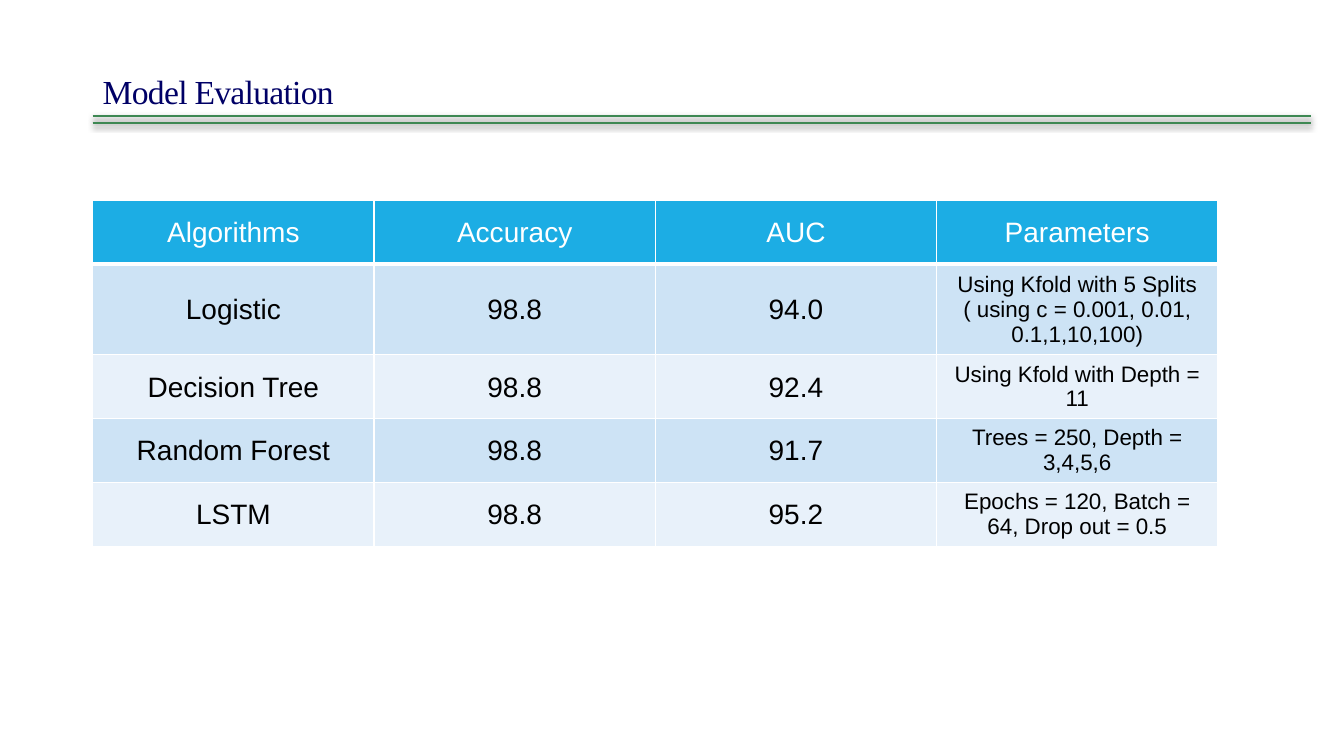
"""Build the Model Evaluation slide with a table of algorithm results."""
from dataclasses import dataclass

from lxml import etree
from pptx import Presentation
from pptx.dml.color import RGBColor
from pptx.enum.shapes import MSO_CONNECTOR
from pptx.enum.text import MSO_ANCHOR, PP_ALIGN
from pptx.oxml import parse_xml
from pptx.oxml.ns import nsdecls, qn
from pptx.util import Inches, Pt

STRAIGHT = MSO_CONNECTOR.STRAIGHT
MIDDLE, BOTTOM = MSO_ANCHOR.MIDDLE, MSO_ANCHOR.BOTTOM
CENTER = PP_ALIGN.CENTER

COLORS = {
    "title": "000066",
    "rule": "3E8853",
    "header": "1CADE4",
    "dark_band": "CDE3F5",
    "light_band": "E8F1FA",
    "white": "FFFFFF",
    "black": "000000",
}
LEFT = 0.92
RULE_RIGHT = 13
RULE_TOPS = (1.15, 1.22)
TABLE_TOP, COLUMN_WIDTH, ROW_HEIGHT = 1.99, 2.79, 0.63
THIN_BORDER, HEADER_BORDER = 1, 3
NARROW_MARGINS = {
    "margin_left": Inches(0.01),
    "margin_right": Inches(0.01),
    "margin_top": Inches(0.01),
    "margin_bottom": Inches(0),
}


@dataclass(frozen=True)
class Result:
    algorithm: str
    accuracy: str
    auc: str
    parameters: str

    def texts(self) -> tuple[str, ...]:
        return self.algorithm, self.accuracy, self.auc, self.parameters


HEADER = Result("Algorithms", "Accuracy", "AUC", "Parameters")
RESULTS = (
    Result("Logistic", "98.8", "94.0",
           "Using Kfold with 5 Splits ( using c = 0.001, 0.01, 0.1,1,10,100)"),
    Result("Decision Tree", "98.8", "92.4", "Using Kfold with Depth = 11"),
    Result("Random Forest", "98.8", "91.7", "Trees = 250, Depth = 3,4,5,6"),
    Result("LSTM", "98.8", "95.2", "Epochs = 120, Batch = 64, Drop out = 0.5"),
)


def color(name: str) -> RGBColor:
    return RGBColor.from_string(COLORS[name])


def apply_format(target, values: dict) -> None:
    for name, value in values.items():
        setattr(target, name, value)


def write_text(paragraph, text: str, font: str, size: int, color_name: str):
    run = paragraph.add_run()
    run.text = text
    apply_format(run.font, {"name": font, "size": Pt(size), "bold": False})
    run.font.color.rgb = color(color_name)
    return run


def add_title(slide) -> None:
    box = slide.shapes.add_textbox(Inches(LEFT), Inches(0.31), Inches(12.08), Inches(0.84))
    apply_format(box.text_frame, {"word_wrap": True, "vertical_anchor": BOTTOM})
    paragraph = box.text_frame.paragraphs[0]
    paragraph.line_spacing = 0.85
    run = write_text(paragraph, "Model Evaluation", "Times New Roman", 24, "title")
    run.font._element.set("spc", "-50")


def add_rule(slide, top: float) -> None:
    rule = slide.shapes.add_connector(
        STRAIGHT, Inches(LEFT), Inches(top), Inches(RULE_RIGHT), Inches(top))
    rule.line.color.rgb = color("rule")
    rule.line.width = Pt(1.75)
    rule._element.spPr.append(parse_xml(
        f'<a:effectLst {nsdecls("a")}>'
        f'<a:outerShdw blurRad="{Pt(4)}" dist="{Pt(2)}" dir="5400000" rotWithShape="0">'
        f'<a:srgbClr val="{COLORS["black"]}"><a:alpha val="28000"/></a:srgbClr>'
        '</a:outerShdw></a:effectLst>'))


def set_borders(cell, top: float, bottom: float) -> None:
    properties = cell._tc.get_or_add_tcPr()
    widths = {"lnL": THIN_BORDER, "lnR": THIN_BORDER, "lnT": top, "lnB": bottom}
    for tag, width in widths.items():
        border = etree.SubElement(properties, qn(f"a:{tag}"), w=str(Pt(width)))
        fill = etree.SubElement(border, qn("a:solidFill"))
        etree.SubElement(fill, qn("a:srgbClr"), val=COLORS["white"])


def fill_cell(cell, text: str, row: int, is_parameter: bool) -> None:
    is_header = row == 0
    set_borders(cell, HEADER_BORDER if row == 1 else THIN_BORDER,
                HEADER_BORDER if is_header else THIN_BORDER)
    band = "header" if is_header else "dark_band" if row % 2 else "light_band"
    cell.fill.solid()
    cell.fill.fore_color.rgb = color(band)
    cell.vertical_anchor = MIDDLE
    if not is_parameter:
        apply_format(cell, NARROW_MARGINS)
    paragraph = cell.text_frame.paragraphs[0]
    paragraph.alignment = CENTER
    size = 16 if is_parameter and not is_header else 20
    write_text(paragraph, text, "Arial", size, "white" if is_header else "black")


def add_results_table(slide) -> None:
    rows = [result.texts() for result in (HEADER, *RESULTS)]
    column_count = len(rows[0])
    table = slide.shapes.add_table(
        len(rows), column_count, Inches(LEFT), Inches(TABLE_TOP),
        Inches(COLUMN_WIDTH * column_count), Inches(ROW_HEIGHT * len(rows))).table
    for row, texts in enumerate(rows):
        for column, text in enumerate(texts):
            fill_cell(table.cell(row, column), text, row, column == column_count - 1)


def main() -> None:
    presentation = Presentation()
    apply_format(presentation, {"slide_width": Inches(13.33), "slide_height": Inches(7.5)})
    slide = presentation.slides.add_slide(presentation.slide_layouts[6])
    add_title(slide)
    for top in RULE_TOPS:
        add_rule(slide, top)
    add_results_table(slide)
    presentation.save("out.pptx")


if __name__ == "__main__":
    main()
